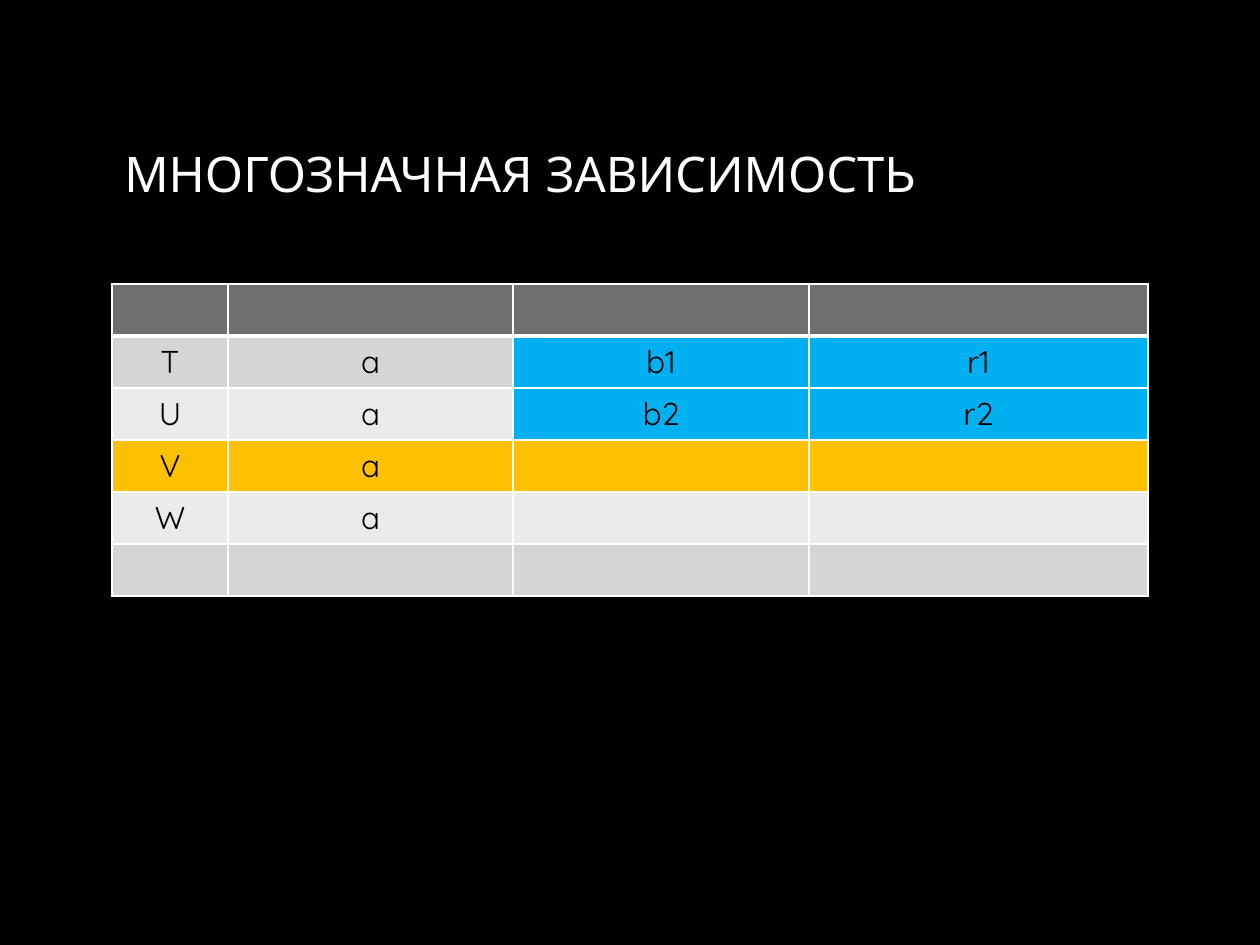
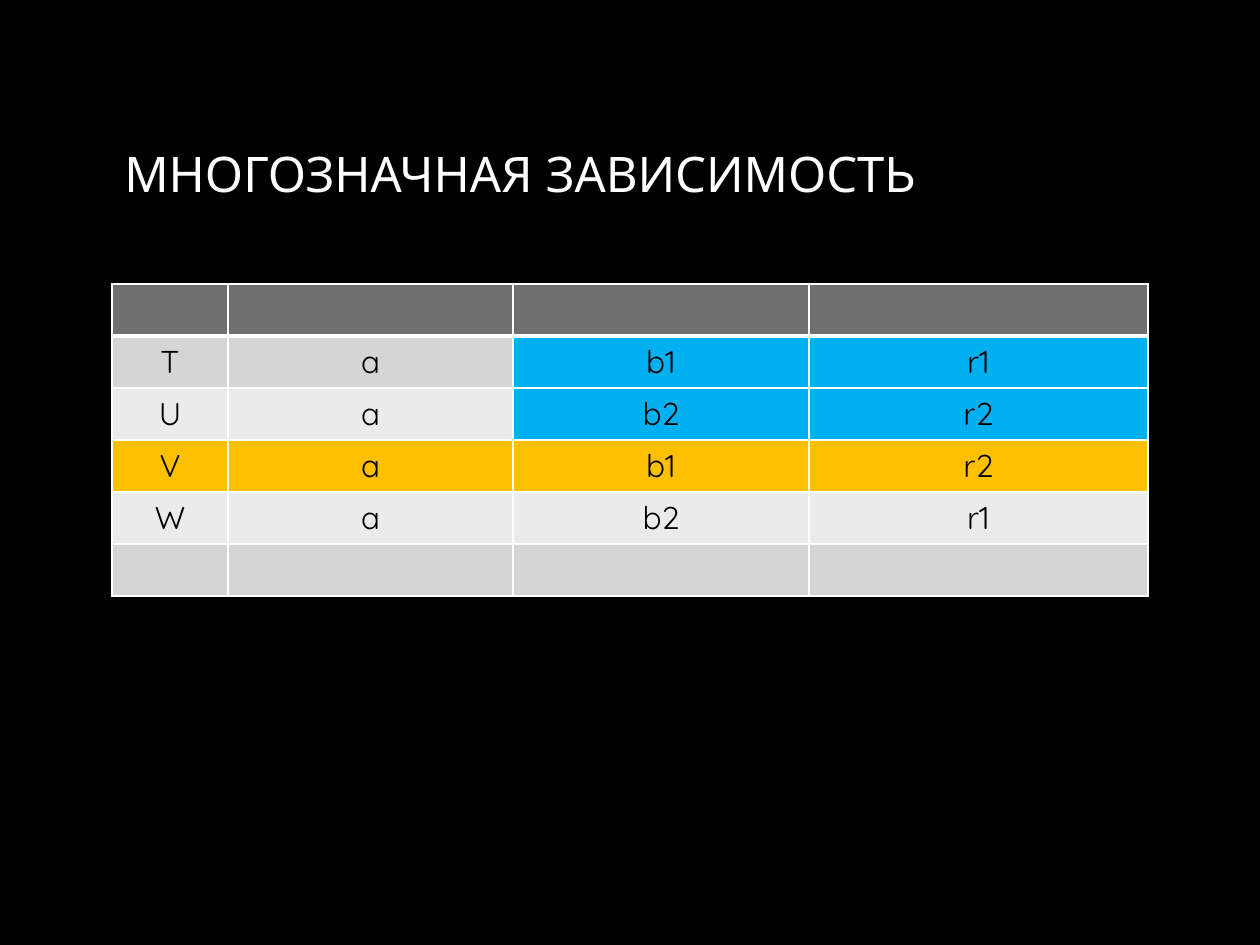
from lxml import etree
from pptx import Presentation
from pptx.dml.color import RGBColor
from pptx.enum.text import MSO_ANCHOR, PP_ALIGN
from pptx.oxml.ns import qn
from pptx.util import Pt

PIXEL = 914400 // 126
MIDDLE = MSO_ANCHOR.MIDDLE
CENTER = PP_ALIGN.CENTER
FONT = "Quicksand"
BLACK, WHITE = "000000", "FFFFFF"
HEADER, DARK_BAND, LIGHT_BAND = "6F6F6F", "D5D5D5", "EBEBEB"
BLUE, AMBER = "00B0F0", "FFC000"
TITLE = "МНОГОЗНАЧНАЯ ЗАВИСИМОСТЬ"
TITLE_BOX = (112, 82, 1035, 181)
TABLE_BOX = (112, 284, 1036, 312)
COLUMN_WIDTHS = (116, 285, 296, 339)
ROW_FILLS = (
    [HEADER] * 4,
    [DARK_BAND] * 2 + [BLUE] * 2,
    [LIGHT_BAND] * 2 + [BLUE] * 2,
    [AMBER] * 4,
    [LIGHT_BAND] * 4,
    [DARK_BAND] * 4,
)
KNOWN_ROWS = [("T", "a", "b1", "r1"), ("U", "a", "b2", "r2")]
DERIVED_ROWS = (
    [("V", "a", "", ""), ("W", "a", "", "")],
    [("V", "a", "b1", "r2"), ("W", "a", "b2", "r1")],
)


def color(value):
    """Turn a hex string into a colour."""
    return RGBColor.from_string(value)


def scale(box):
    """Turn pixel lengths into EMU."""
    return [length * PIXEL for length in box]


def add_span(para, text, size, tint):
    """Add one run of text to a paragraph."""
    span = para.add_run()
    span.text = text
    span.font.name = FONT
    span.font.size = Pt(size)
    span.font.color.rgb = color(tint)


def add_title(page, box):
    """Place the slide title, centred vertically in its box."""
    frame = page.shapes.add_textbox(*scale(box)).text_frame
    frame.word_wrap = True
    frame.vertical_anchor = MIDDLE
    add_span(frame.paragraphs[0], TITLE, 28, WHITE)


def add_borders(cell, top, bottom):
    """Draw white cell borders; top and bottom widths are in points."""
    properties = cell._tc.get_or_add_tcPr()
    for side, width in (("L", 1), ("R", 1), ("T", top), ("B", bottom)):
        line = etree.SubElement(properties, qn(f"a:ln{side}"), w=str(Pt(width)))
        fill = etree.SubElement(line, qn("a:solidFill"))
        etree.SubElement(fill, qn("a:srgbClr"), val=WHITE)


def add_dependency_table(page, box, rows):
    """Place the table of tuples with its coloured cells."""
    table = page.shapes.add_table(len(rows), len(COLUMN_WIDTHS), *scale(box)).table
    table.first_row = table.horz_banding = False
    for column, width in zip(table.columns, scale(COLUMN_WIDTHS)):
        column.width = width
    for row_index, (texts, fills) in enumerate(zip(rows, ROW_FILLS)):
        for column_index, (text, fill) in enumerate(zip(texts, fills)):
            cell = table.cell(row_index, column_index)
            add_borders(cell, 3 if row_index == 1 else 1, 3 if row_index == 0 else 1)
            cell.fill.solid()
            cell.fill.fore_color.rgb = color(fill)
            if text:
                para = cell.text_frame.paragraphs[0]
                para.alignment = CENTER
                add_span(para, text, 18, BLACK)


def add_page(deck, derived_rows):
    """Add one black slide with the title and the table."""
    page = deck.slides.add_slide(deck.slide_layouts[6])
    page.background.fill.solid()
    page.background.fill.fore_color.rgb = color(BLACK)
    add_title(page, TITLE_BOX)
    blank_row = [""] * len(COLUMN_WIDTHS)
    rows = [blank_row] + KNOWN_ROWS + derived_rows + [blank_row]
    add_dependency_table(page, TABLE_BOX, rows)


def main():
    """Build and save the deck."""
    deck = Presentation()
    deck.slide_width, deck.slide_height = scale((1260, 945))
    for derived_rows in DERIVED_ROWS:
        add_page(deck, derived_rows)
    deck.save("out.pptx")


main()
